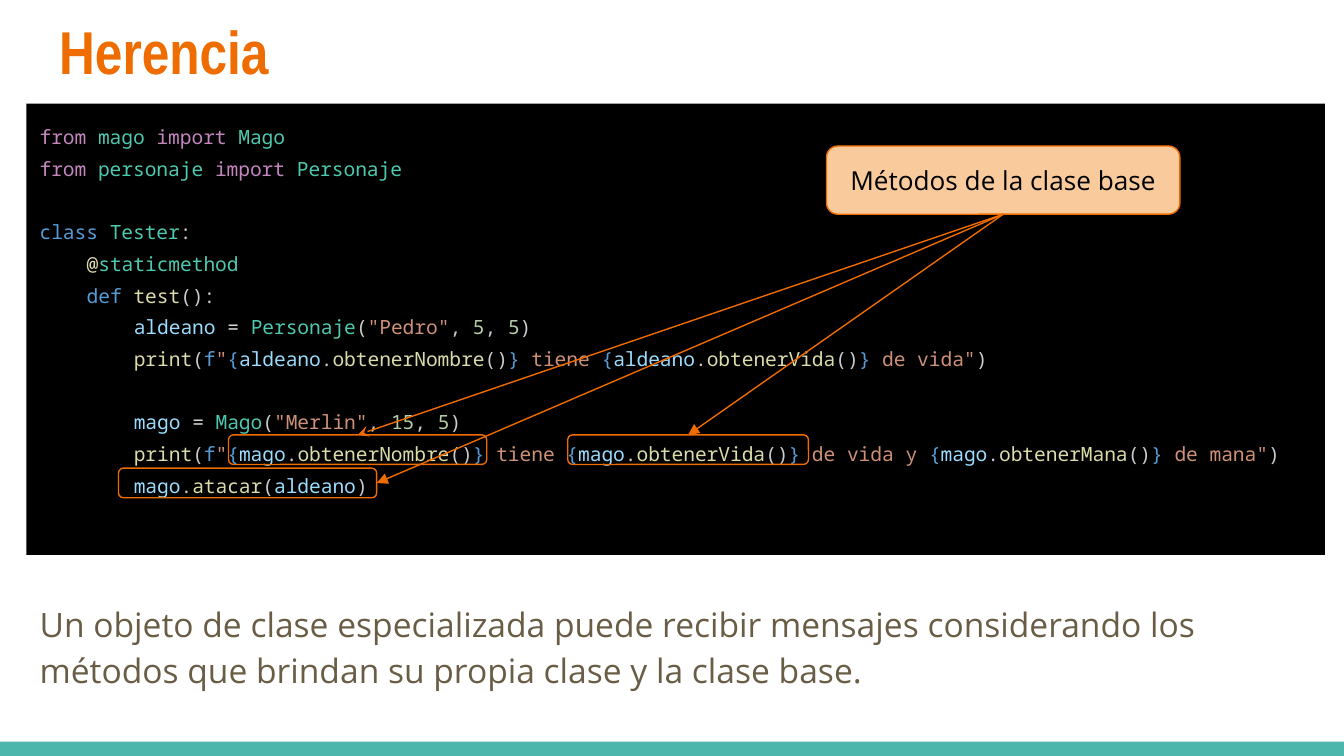
import pptx
import pptx.dml.color
import pptx.enum.shapes
import pptx.enum.text
import pptx.oxml
import pptx.oxml.ns
import pptx.util

Cm, Pt = pptx.util.Cm, pptx.util.Pt
SHAPE = pptx.enum.shapes.MSO_SHAPE
ANCHOR = pptx.enum.text.MSO_ANCHOR
ALIGN = pptx.enum.text.PP_ALIGN
ORANGE = "EF6C00"


def color(value):
    return pptx.dml.color.RGBColor.from_string(value)


def embedded_call(name, method):
    return [("keyword", "{"), ("variable", name), ("plain", "."),
            ("function", method), ("plain", "()"), ("keyword", "}")]


syntax = {
    "control": "C586C0", "type": "4EC9B0", "keyword": "569CD6",
    "plain": "CCCCCC", "function": "DCDCAA", "variable": "9CDCFE",
    "operator": "D4D4D4", "string": "CE9178", "number": "B5CEA8",
}
print_start = [("function", "print"), ("plain", "("), ("keyword", "f"), ("string", '"')]

code = [
    (0, 0, [("control", "from "), ("type", "mago "), ("control", "import "), ("type", "Mago")]),
    (0, 0, [("control", "from "), ("type", "personaje "), ("control", "import "),
            ("type", "Personaje")]),
    (0, 1, [("keyword", "class "), ("type", "Tester"), ("plain", ":")]),
    (1, 0, [("function", "@"), ("type", "staticmethod")]),
    (1, 0, [("keyword", "def "), ("function", "test"), ("plain", "():")]),
    (2, 0, [("variable", "aldeano "), ("operator", "= "), ("type", "Personaje"),
            ("plain", "("), ("string", '"Pedro"'), ("plain", ", "), ("number", "5"),
            ("plain", ", "), ("number", "5"), ("plain", ")")]),
    (2, 0, print_start + embedded_call("aldeano", "obtenerNombre") + [("string", " tiene ")]
     + embedded_call("aldeano", "obtenerVida") + [("string", ' de vida"'), ("plain", ")")]),
    (2, 1, [("variable", "mago "), ("operator", "= "), ("type", "Mago"),
            ("plain", "("), ("string", '"Merlin"'), ("plain", ", "), ("number", "15"),
            ("plain", ", "), ("number", "5"), ("plain", ")")]),
    (2, 0, print_start + embedded_call("mago", "obtenerNombre") + [("string", " tiene ")]
     + embedded_call("mago", "obtenerVida") + [("string", " de vida y ")]
     + embedded_call("mago", "obtenerMana") + [("string", ' de mana"'), ("plain", ")")]),
    (2, 0, [("variable", "mago"), ("plain", "."), ("function", "atacar"), ("plain", "("),
            ("variable", "aldeano"), ("plain", ")")]),
]

deck = pptx.Presentation()
deck.slide_width, deck.slide_height = Cm(25.4), Cm(14.29)
page = deck.slides.add_slide(deck.slide_layouts[6])

shapes = {}
for name, preset, place, fill, line in [
    ("footer", SHAPE.RECTANGLE, (0, 14.02, 25.4, 0.27), "4DB6AC", None),
    ("code", SHAPE.RECTANGLE, (0.5, 1.96, 24.54, 8.53), "000000", None),
    ("name call", SHAPE.ROUNDED_RECTANGLE, (4.32, 8.22, 4.88, 0.56), None, ORANGE),
    ("life call", SHAPE.ROUNDED_RECTANGLE, (10.73, 8.22, 4.55, 0.56), None, ORANGE),
    ("attack call", SHAPE.ROUNDED_RECTANGLE, (2.24, 8.85, 4.88, 0.56), None, ORANGE),
    ("callout", SHAPE.ROUNDED_RECTANGLE, (15.62, 2.76, 6.68, 1.29), "F9CB9C", ORANGE),
]:
    box = page.shapes.add_shape(preset, *map(Cm, place))
    box.shadow.inherit = False
    if fill:
        box.fill.solid()
        box.fill.fore_color.rgb = color(fill)
    else:
        box.fill.background()
    if line:
        box.line.color.rgb = color(line)
        box.line.width = Pt(0.75)
    else:
        box.line.fill.background()
    shapes[name] = box

for name, place in [("title", (0.87, 0, 23.67, 1.9)), ("summary", (0.5, 11.05, 24.69, 2.64))]:
    shapes[name] = page.shapes.add_textbox(*map(Cm, place))

summary = ("Un objeto de clase especializada puede recibir mensajes considerando los "
           "métodos que brindan su propia clase y la clase base.")
code_lines = [(indent, gap, [(syntax[kind], text) for kind, text in spans])
              for indent, gap, spans in code]

for name, lines, anchor, para_format, font_format in [
    ("title", [(0, 0, [(ORANGE, "Herencia")])], ANCHOR.MIDDLE,
     {"alignment": ALIGN.LEFT},
     {"name": "Arial Narrow", "size": Pt(32.4), "bold": True}),
    ("summary", [(0, 0, [("695D46", summary)])], ANCHOR.TOP,
     {"alignment": ALIGN.LEFT, "line_spacing": 1.15, "space_after": Pt(12)},
     {"name": "Open Sans", "size": Pt(18)}),
    ("code", code_lines, ANCHOR.TOP,
     {"alignment": ALIGN.LEFT, "line_spacing": 1.35},
     {"name": "Noto Sans Mono", "size": Pt(10.5)}),
    ("callout", [(0, 0, [("000000", "Métodos de la clase base")])], ANCHOR.MIDDLE,
     {"alignment": ALIGN.CENTER},
     {"name": "Open Sans", "size": Pt(14)}),
]:
    frame = shapes[name].text_frame
    frame_format = {"word_wrap": True, "vertical_anchor": anchor}
    for side in ("left", "top", "right", "bottom"):
        frame_format[f"margin_{side}"] = Cm(0.25)
    for key, value in frame_format.items():
        setattr(frame, key, value)
    for number, (indent, gap, spans) in enumerate(lines):
        para = frame.add_paragraph() if number else frame.paragraphs[0]
        for key, value in para_format.items():
            setattr(para, key, value)
        if indent:
            para._p.get_or_add_pPr().set("marL", str(Cm(0.89 * indent)))
        if gap:
            para.space_before = Pt(17 * gap)
        for hue, text in spans:
            span = para.add_run()
            span.text = text
            for key, value in font_format.items():
                setattr(span.font, key, value)
            span.font.color.rgb = color(hue)

TOP, BOTTOM, RIGHT = 0, 2, 3
for target, site, head in [
    ("name call", TOP, "stealth"),
    ("life call", TOP, "triangle"),
    ("attack call", RIGHT, "triangle"),
]:
    arrow = page.shapes.add_connector(pptx.enum.shapes.MSO_CONNECTOR.STRAIGHT, 0, 0, 0, 0)
    arrow.begin_connect(shapes["callout"], BOTTOM)
    arrow.end_connect(shapes[target], site)
    arrow.line.color.rgb = color(ORANGE)
    arrow.line.width = Pt(0.75)
    tail = pptx.oxml.ns.qn("a:tailEnd")
    arrow.line._get_or_add_ln().append(
        arrow._element.makeelement(tail, {"type": head, "w": "med", "len": "med"}))
    arrow._element.spPr.append(arrow._element.makeelement(pptx.oxml.ns.qn("a:effectLst"), {}))

deck.save("out.pptx")
